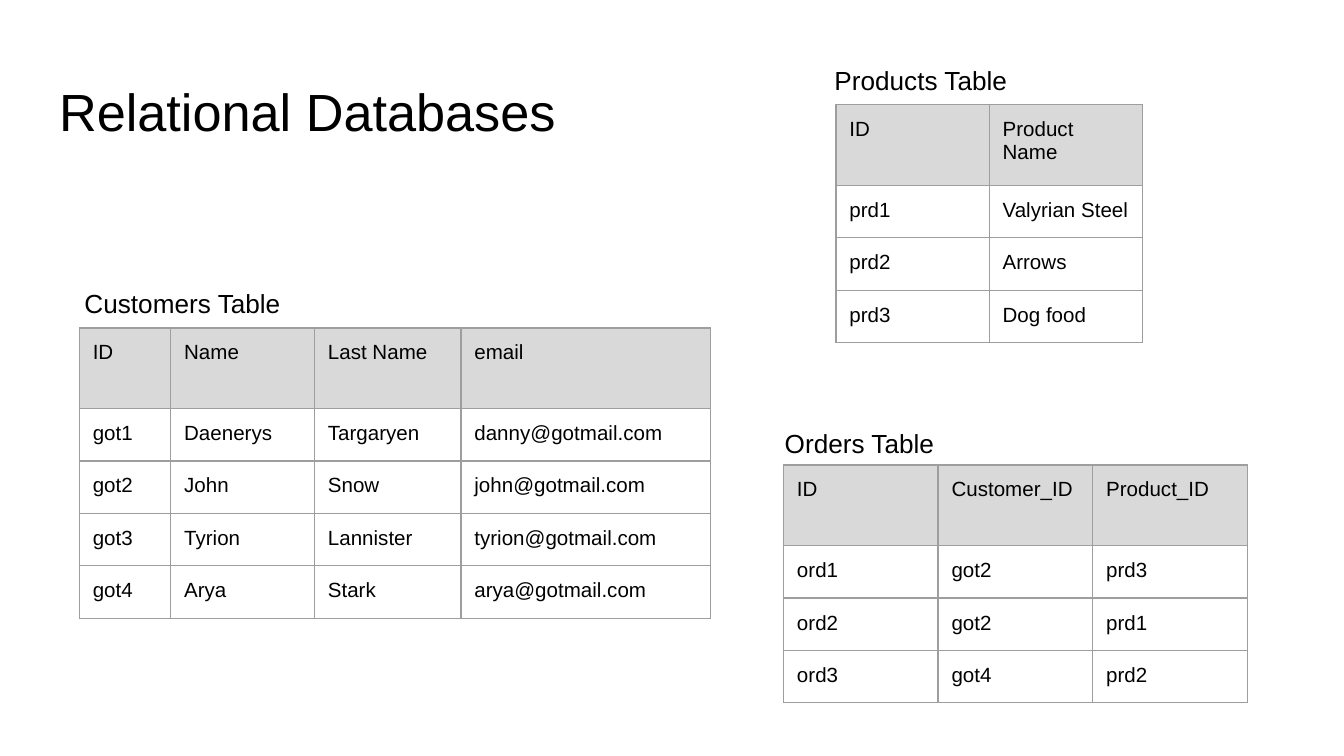
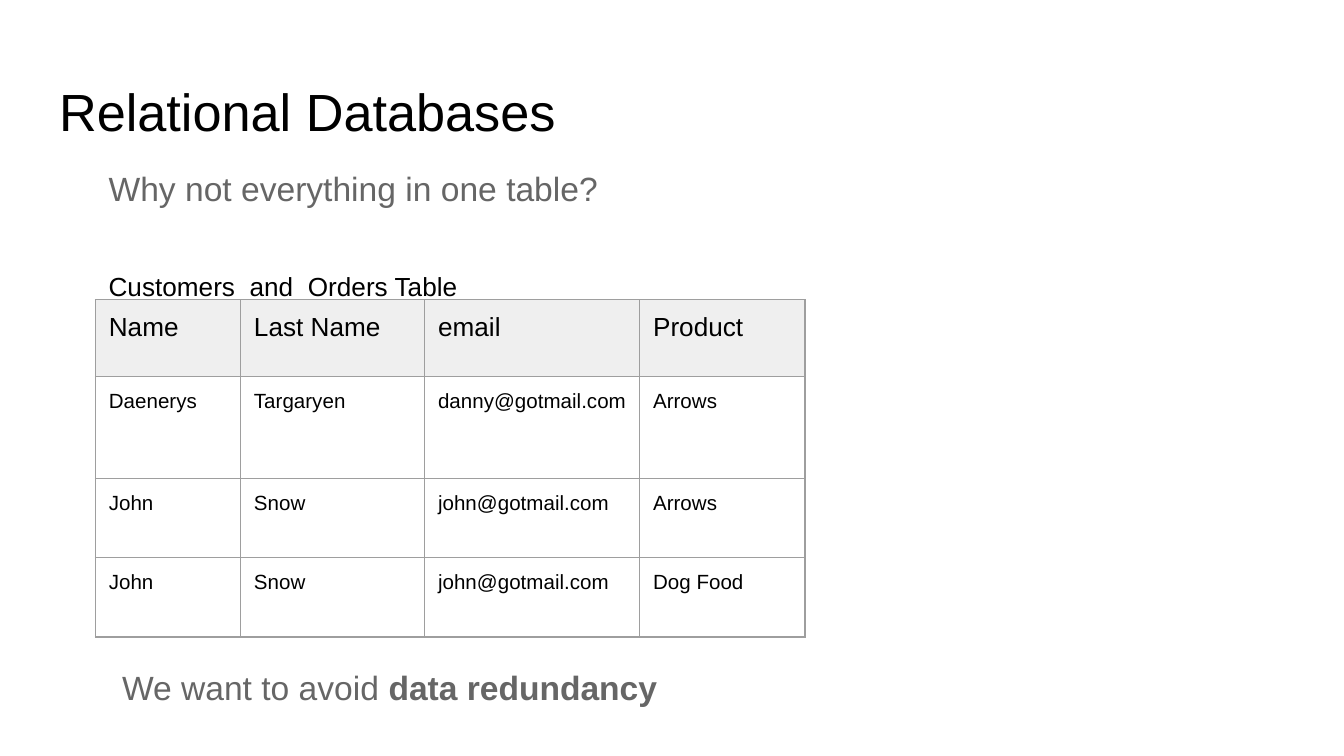
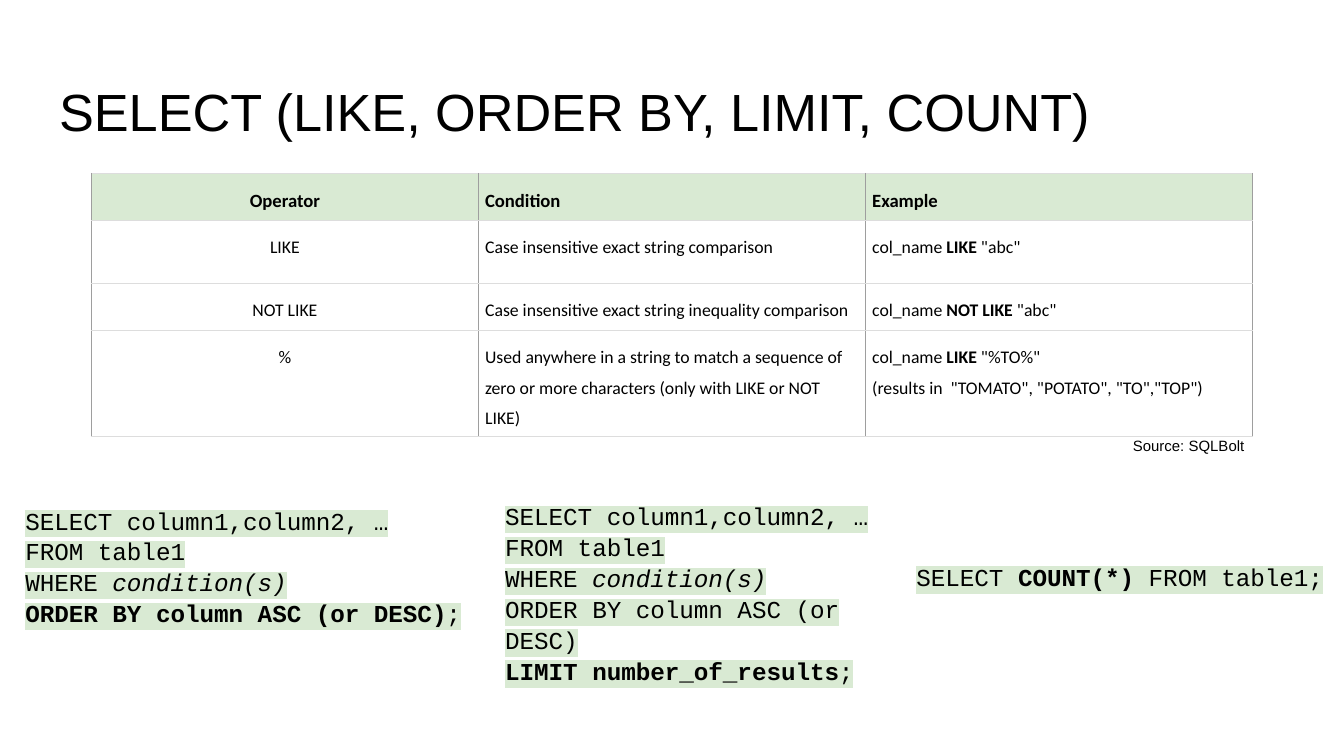
from pptx import Presentation
from pptx.util import Inches, Pt
from pptx.dml.color import RGBColor
from pptx.enum.text import MSO_ANCHOR, MSO_AUTO_SIZE, PP_ALIGN
from pptx.oxml.ns import qn
from lxml.etree import SubElement, Element

# Grid: 100 columns by 56.25 rows of square units
UNIT = Inches(0.1)
COLS, ROWS = 100, 56.25
TITLE = (3.4, 4.9, 93.2, 6.3)
HUES = {"ink": "000000", "muted": "666666", "edge": "9E9E9E", "rule": "DDDDDD",
        "head": "D9D9D9", "pale": "EFEFEF", "green": "D9EAD3"}
SQL = ["SELECT column1,column2, …", "FROM table1", "WHERE ~condition(s)~"]


def units(*vals):
    return [round(val * UNIT) for val in vals]


def style(run, size, face="Arial", hue="ink", mark=None):
    font = run.font
    font.size, font.name = Pt(size), face
    font.color.rgb = RGBColor.from_string(HUES[hue])
    if mark:
        light = Element(qn("a:highlight"))
        SubElement(light, qn("a:srgbClr")).set("val", HUES[mark])
        run._r.rPr.find(qn("a:solidFill")).addnext(light)


def write(frame, lines, size, space=None, align=None, **look):
    """Fill a frame; |bold| and ~italic~ spans become runs."""
    frame.text = "\n".join(lines)
    for para in frame.paragraphs:
        text = para.text
        if "|" in text or "~" in text:
            para.clear()
            for i, part in enumerate(text.split("|")):
                for j, bit in enumerate(part.split("~")):
                    if bit:
                        run = para.add_run()
                        run.text = bit
                        run.font.bold, run.font.italic = i % 2 == 1, j % 2 == 1
        if space:
            para.line_spacing = space
        if align:
            para.alignment = align
        for run in para.runs:
            style(run, size, **look)


def pad(frame):
    frame.margin_left = frame.margin_right = UNIT
    frame.margin_top = frame.margin_bottom = UNIT
    frame.word_wrap = True
    frame.auto_size = MSO_AUTO_SIZE.NONE
    frame.vertical_anchor = MSO_ANCHOR.TOP


def note(slide, box, lines, size, **look):
    frame = slide.shapes.add_textbox(*units(*box)).text_frame
    pad(frame)
    write(frame, lines, size, **look)


def start(deck, text):
    slide = deck.slides.add_slide(deck.slide_layouts[5])
    title = slide.shapes.title
    title.left, title.top, title.width, title.height = units(*TITLE)
    pad(title.text_frame)
    write(title.text_frame, [text], 28, align=PP_ALIGN.LEFT)
    return slide


def edge(cell, sides):
    props = cell._tc.get_or_add_tcPr()
    for side, hue in sides.items():
        line = SubElement(props, qn(f"a:ln{side}"), w=str(Pt(0.75)))
        fill = SubElement(line, qn("a:solidFill"))
        SubElement(fill, qn("a:srgbClr")).set("val", HUES[hue])


def grid(slide, spot, cols, rows, data, fill="head", sizes=(11, 11),
         inset=1, rule="edge", mid=False, bold=False, **look):
    """Table at a spot, with column and row sizes in grid units."""
    box = units(*spot, sum(cols), sum(rows))
    table = slide.shapes.add_table(len(rows), len(cols), *box).table
    table.first_row = table.horz_banding = False
    for col, width in zip(table.columns, units(*cols)):
        col.width = width
    for row, height in zip(table.rows, units(*rows)):
        row.height = height
    sides = {"L": "edge", "R": "edge", "T": rule, "B": rule}
    for i, row in enumerate(data):
        for j, text in enumerate(row):
            cell = table.cell(i, j)
            cell.margin_left = cell.margin_right = round(inset * UNIT)
            cell.margin_top = cell.margin_bottom = round(inset * UNIT)
            edge(cell, sides)
            if i:
                cell.fill.background()
            else:
                cell.fill.solid()
                cell.fill.fore_color.rgb = RGBColor.from_string(HUES[fill])
                text = f"|{text}|" if bold else text
            write(cell.text_frame, text.split("\n"), sizes[i > 0],
                  align=PP_ALIGN.CENTER if mid and j == 0 else None, **look)


def named(slide, spot, shift, name, *parts, wide=25.1, **look):
    """Table with its caption, which is shifted from the table's corner."""
    box = (spot[0] + shift[0], spot[1] + shift[1], wide, 4.8)
    note(slide, box, [name], 14)
    grid(slide, spot, *parts, **look)


def schema(deck):
    slide = start(deck, "Relational Databases")
    few = [6] + [3.9] * 3
    named(slide, (5.9, 24.4), (-0.6, -4), "Customers Table",
          [6.8, 10.7, 10.9, 18.6], few + [3.9],
          [["ID", "Name", "Last Name", "email"],
           ["got1", "Daenerys", "Targaryen", "danny@gotmail.com"],
           ["got2", "John", "Snow", "john@gotmail.com"],
           ["got3", "Tyrion", "Lannister", "tyrion@gotmail.com"],
           ["got4", "Arya", "Stark", "arya@gotmail.com"]])
    named(slide, (62.2, 7.8), (-1.1, -4), "Products Table", [11.4] * 2, few,
          [["ID", "Product Name"], ["prd1", "Valyrian Steel"],
           ["prd2", "Arrows"], ["prd3", "Dog food"]])
    named(slide, (58.3, 34.6), (-0.9, -3.8), "Orders Table", [11.5] * 3, few,
          [["ID", "Customer_ID", "Product_ID"], ["ord1", "got2", "prd3"],
           ["ord2", "got2", "prd1"], ["ord3", "got4", "prd2"]])


def merged(deck):
    slide = start(deck, "Relational Databases")
    named(slide, (7.1, 22.3), (0, -3.2), "Customers_and_Orders Table",
          [10.8, 13.7, 16, 12.3], [5.7, 7.6, 5.9, 5.9],
          [["Name", "Last Name", "email", "Product"],
           ["Daenerys", "Targaryen", "danny@gotmail.com", "Arrows"],
           ["John", "Snow", "john@gotmail.com", "Arrows"],
           ["John", "Snow", "john@gotmail.com", "Dog Food"]],
          wide=31.3, fill="pale", sizes=(14, 11))
    note(slide, (8.1, 48.6, 83.8, 7.1), ["We want to avoid |data redundancy|"],
         18, hue="muted")
    note(slide, (7.1, 11.5, 55.1, 4.8), ["Why not everything in one table?"],
         18, hue="muted")


def select(deck):
    slide = start(deck, "SELECT (LIKE, ORDER BY, LIMIT, COUNT)")
    grid(slide, (6.8, 12.9), [28.8] * 3, [3.5, 4.7, 3.5, 7.8],
         [["Operator", "Condition", "Example"],
          ["LIKE", "Case insensitive exact string comparison",
           'col_name |LIKE| "abc"'],
          ["NOT LIKE", "Case insensitive exact string inequality comparison",
           'col_name |NOT LIKE| "abc"'],
          ["%", "Used anywhere in a string to match a sequence of zero or "
           "more characters (only with LIKE or NOT LIKE)",
           'col_name |LIKE| "%TO%"\n'
           '(results in  "TOMATO", "POTATO", "TO","TOP")']],
         fill="green", sizes=(10, 9.5), inset=0.5, rule="rule", mid=True,
         bold=True, face="Calibri", space=1.43)
    # Query samples
    order = "ORDER BY column ASC (or DESC)"
    for box, lines in [
            ((0.9, 36.5, 34.9, 11.5), SQL + [f"|{order}|;"]),
            ((36.6, 36.2, 32.8, 15.5), SQL + [order, "|LIMIT number_of_results|;"]),
            ((67.2, 40.7, 32.8, 4.8), ["SELECT |COUNT(*)| FROM table1;"])]:
        note(slide, box, lines, 13, face="Courier New", mark="green", space=1.06)
    note(slide, (83.3, 31.5, 13.2, 2.1), ["Source: SQLBolt"], 8)


def main():
    deck = Presentation()
    deck.slide_width, deck.slide_height = units(COLS, ROWS)
    for build in (schema, merged, select):
        build(deck)
    deck.save("out.pptx")


if __name__ == "__main__":
    main()
